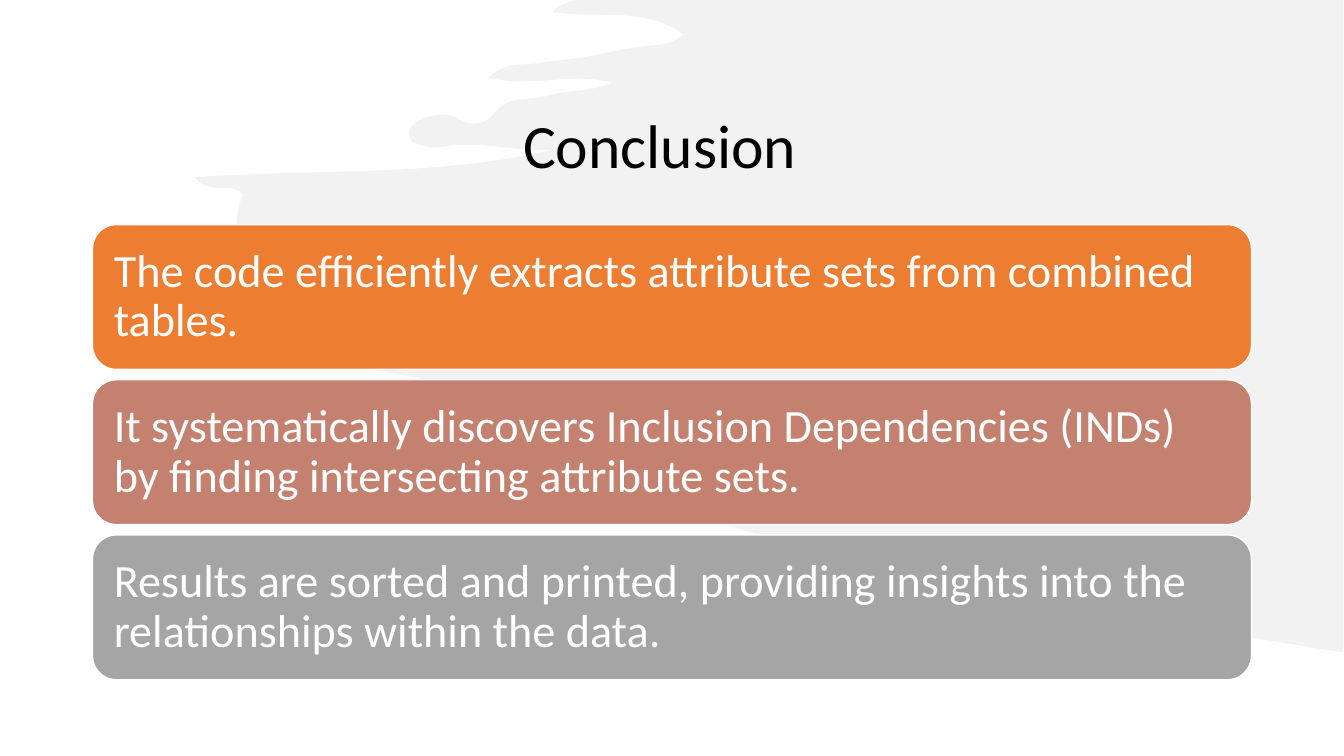
import pptx
import pptx.util
import pptx.dml.color
import pptx.enum.shapes
import pptx.enum.text
import pptx.oxml
import pptx.oxml.ns
import lxml.etree

Cm, Pt = pptx.util.Cm, pptx.util.Pt
RGB = pptx.dml.color.RGBColor.from_string
ENUM = pptx.enum.text
qn = pptx.oxml.ns.qn

HUES = {"splash": "E7E6E6", "title": "000000", "white": "FFFFFF",
        "orange": "ED7D31", "rose": "C48170", "gray": "A5A5A5"}
FONT = "Calibri"
UNIT = Cm(2.54) / 100  # outline points are in hundredths of an inch

# Each triple is one Bézier curve: two control points and an end point
CURVES = [
    (567, 1, 557, 3, 548, 12), (595, 19, 639, 6, 678, 34),
    (664, 47, 648, 44, 632, 47), (616, 49, 600, 53, 584, 56),
    (567, 59, 549, 60, 532, 63), (518, 65, 502, 61, 485, 77),
    (527, 88, 566, 71, 608, 82), (584, 92, 563, 89, 544, 95),
    (527, 100, 506, 94, 492, 111), (481, 124, 469, 126, 455, 118),
    (442, 111, 428, 113, 415, 120), (411, 123, 406, 126, 406, 132),
    (406, 141, 412, 143, 418, 144), (424, 146, 431, 147, 437, 146),
    (474, 139, 510, 150, 547, 149), (431, 176, 314, 167, 193, 176),
    (209, 195, 229, 179, 241, 193), (230, 222, 234, 237, 258, 239),
    (280, 241, 304, 231, 316, 265), (320, 276, 341, 273, 355, 275),
    (384, 279, 414, 275, 442, 288), (453, 293, 460, 297, 455, 311),
    (449, 325, 456, 330, 466, 336), (473, 340, 483, 339, 489, 352),
    (428, 350, 369, 340, 309, 350), (375, 374, 447, 373, 512, 402),
    (510, 412, 495, 407, 494, 422), (528, 438, 569, 427, 605, 450),
    (584, 461, 565, 444, 545, 454), (552, 469, 840, 561, 892, 571),
    (978, 587, 1195, 625, 1318, 645),
]
CARDS = [
    ("orange", "The code efficiently extracts attribute sets from combined tables."),
    ("rose", "It systematically discovers Inclusion Dependencies (INDs) "
             "by finding intersecting attribute sets."),
    ("gray", "Results are sorted and printed, providing insights into the "
             "relationships within the data."),
]


def style(frame, text, size, hue, align):
    frame.text = text
    frame.word_wrap = True
    frame.vertical_anchor = ENUM.MSO_ANCHOR.MIDDLE
    par = frame.paragraphs[0]
    par.alignment = align
    par.line_spacing = 0.9
    font = par.runs[0].font
    font.name, font.size = FONT, Pt(size)
    font.color.rgb = RGB(HUES[hue])


deck = pptx.Presentation()
deck.slide_width, deck.slide_height = Cm(33.87), Cm(19.05)
slide = deck.slides.add_slide(deck.slide_layouts[5])

# Title
title = slide.shapes.title
title.left, title.top = Cm(9.19), Cm(1.12)
title.width, title.height = Cm(14.88), Cm(5.26)
style(title.text_frame, "Conclusion", 44, "title", ENUM.PP_ALIGN.CENTER)

# Paint splash behind the title
dots = [(575, 0)]
for curve in CURVES:
    dots += zip(curve[::2], curve[1::2])
dots.append((1333, 647))
pen = slide.shapes.build_freeform(1333 * UNIT, 0)
pen.add_line_segments([(x * UNIT, y * UNIT) for x, y in dots], close=True)
splash = pen.convert_to_shape()
splash.shadow.inherit = False
splash.line.fill.background()
splash.fill.solid()
splash.fill.fore_color.rgb = RGB(HUES["splash"])
tint = splash.element.spPr.find(".//" + qn("a:srgbClr"))
lxml.etree.SubElement(tint, qn("a:alpha")).set("val", "50000")

# Turn each triple of segments into one curve
legs = splash.element.spPr.findall(".//" + qn("a:lnTo"))[1:-1]
for first in range(0, len(legs), 3):
    bend = lxml.etree.Element(qn("a:cubicBezTo"))
    legs[first].addprevious(bend)
    for leg in legs[first:first + 3]:
        bend.append(leg[0])
        leg.getparent().remove(leg)
title.element.addprevious(splash.element)

# Cards
for row, (hue, text) in enumerate(CARDS):
    card = slide.shapes.add_shape(
        pptx.enum.shapes.MSO_SHAPE.ROUNDED_RECTANGLE,
        Cm(2.33), Cm(5.66 + row * 3.91), Cm(29.21), Cm(3.65))
    card.shadow.inherit = False
    card.fill.solid()
    card.fill.fore_color.rgb = RGB(HUES[hue])
    card.line.color.rgb = RGB(HUES["white"])
    card.line.width = Pt(1)
    frame = card.text_frame
    frame.margin_left = frame.margin_right = Cm(0.36)
    frame.margin_top = frame.margin_bottom = Cm(0.36)
    style(frame, text, 33, "white", ENUM.PP_ALIGN.LEFT)

deck.save("out.pptx")
